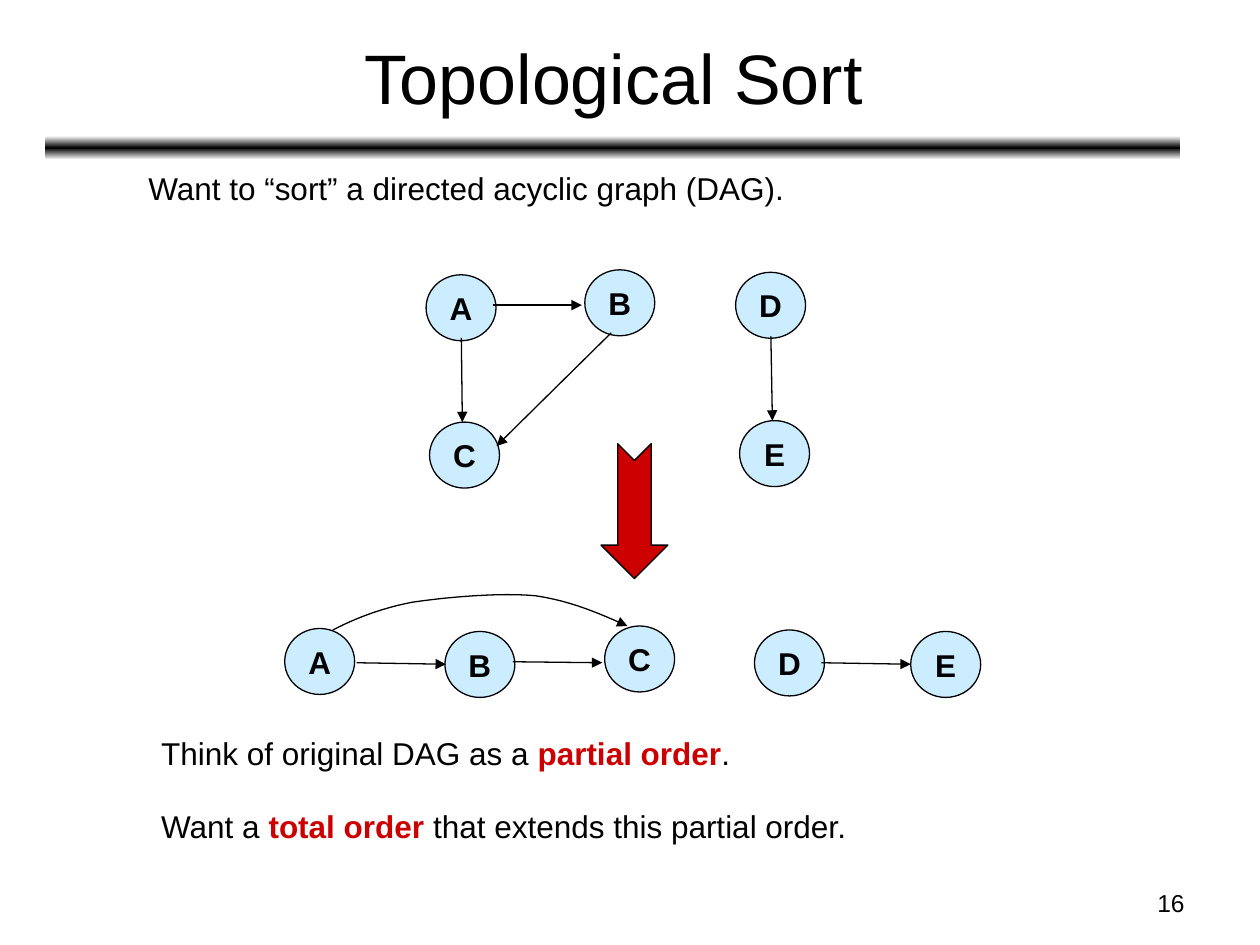
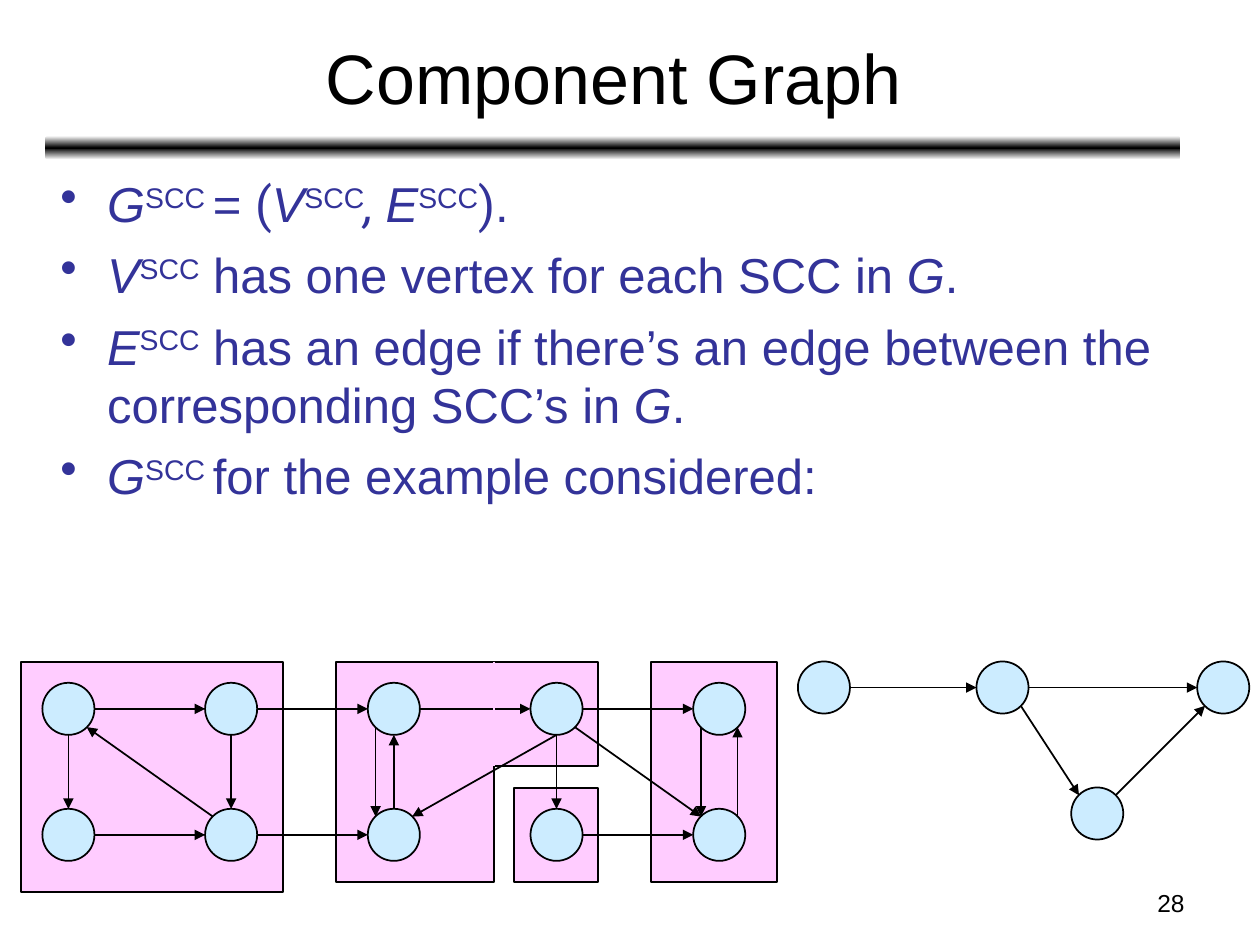
from copy import deepcopy

from lxml.etree import SubElement
from pptx import Presentation
from pptx.dml.color import RGBColor
from pptx.enum.shapes import MSO_CONNECTOR as LINE, MSO_SHAPE as SHAPE
from pptx.enum.text import MSO_ANCHOR as ANCHOR, PP_ALIGN as ALIGN
from pptx.oxml.ns import qn
from pptx.util import Cm, Pt

BLACK, WHITE = "000000", "FFFFFF"
BLUE, PINK, RED, INDIGO = "CCECFF", "FFCCFF", "CC0000", "333399"
ITALIC = {"italic": True}
SUPER = {"sup": True}
KEY = {"color": RED, "bold": True}
SYMBOL = {"font": "Roboto"}

# Compass points on a node, as parts of its radius
PORTS = {"n": (0, -1), "s": (0, 1), "e": (1, 0), "w": (-1, 0),
         "ne": (0.7, -0.7), "nw": (-0.7, -0.7),
         "se": (0.7, 0.7), "sw": (-0.7, 0.7)}


def rgb(color):
    return RGBColor.from_string(color)


def write(p, text, size=18, color=BLACK, font="Arial", bold=False,
          italic=False, sup=False):
    r = p.add_run()
    r.text = text
    f = r.font
    f.size, f.name, f.bold, f.italic = Pt(size), font, bold, italic
    f.color.rgb = rgb(color)
    if sup:
        r._r.get_or_add_rPr().set("baseline", "30000")


def set_bullet(p, color, indent):
    pPr = p._p.get_or_add_pPr()
    pPr.set("marL", str(indent))
    pPr.set("indent", str(-indent))
    SubElement(SubElement(pPr, qn("a:buClr")), qn("a:srgbClr"), val=color)
    SubElement(pPr, qn("a:buChar"), char="•")


def bezier(start, *curves, steps=12):
    """Points along a chain of cubic curves."""
    points = [start]
    for c1, c2, end in curves:
        p0 = points[-1]
        for k in range(1, steps + 1):
            t = k / steps
            u = 1 - t
            points.append(tuple(
                u**3 * a + 3 * u * u * t * b + 3 * u * t * t * c + t**3 * d
                for a, b, c, d in zip(p0, c1, c2, end)))
    return points


class Deck:
    def __init__(self):
        self.prs = Presentation()
        self.prs.slide_width, self.prs.slide_height = Cm(25.4), Cm(19.05)
        self.line_width = 0.75
        self.s = None

    def slide(self, title, number, line_width):
        self.line_width = line_width
        self.s = self.prs.slides.add_slide(self.prs.slide_layouts[6])
        self.band()
        self.text((0.94, 0.28, 22.86, 2.51), [[(title, {})]], size=40,
                  align=ALIGN.CENTER, anchor=ANCHOR.MIDDLE)
        self.text((18.21, 17.78, 5.92, 0.89), [[(number, {})]], size=14,
                  align=ALIGN.RIGHT)

    def band(self):
        sp = self.shape(SHAPE.ROUNDED_RECTANGLE, (0.91, 2.74, 22.89, 0.48))
        sp.line.fill.background()
        sp.fill.gradient()
        sp.fill.gradient_angle = 90
        stops = sp.element.spPr.find(".//" + qn("a:gsLst"))
        stops.insert(1, deepcopy(stops[0]))
        for k, (stop, color) in enumerate(
                zip(sp.fill.gradient_stops, (WHITE, BLACK, WHITE))):
            stop.position = k / 2
            stop.color.rgb = rgb(color)

    def text(self, box, paragraphs, align=ALIGN.LEFT, anchor=ANCHOR.TOP,
             wrap=True, gap=0, bullet=None, **style):
        tf = self.s.shapes.add_textbox(*map(Cm, box)).text_frame
        tf.word_wrap, tf.vertical_anchor = wrap, anchor
        for k, runs in enumerate(paragraphs):
            p = tf.add_paragraph() if k else tf.paragraphs[0]
            if bullet:
                set_bullet(p, bullet, Cm(0.94))
            p.alignment = align
            if k:
                p.space_before = Pt(gap)
            for text, fmt in runs:
                write(p, text, **{**style, **fmt})

    def outline(self, sp, color=BLACK):
        sp.line.color.rgb = rgb(color)
        sp.line.width = Pt(self.line_width)

    def shape(self, kind, box, fill=BLUE):
        sp = self.s.shapes.add_shape(kind, *map(Cm, box))
        sp.shadow.inherit = False
        sp.fill.solid()
        sp.fill.fore_color.rgb = rgb(fill)
        self.outline(sp)
        return sp

    def node(self, x, y, width, height, label=""):
        sp = self.shape(SHAPE.OVAL, (x, y, width, height))
        if label:
            tf = sp.text_frame
            tf.word_wrap, tf.vertical_anchor = False, ANCHOR.MIDDLE
            p = tf.paragraphs[0]
            p.alignment = ALIGN.CENTER
            write(p, label, bold=True)

    def arrowhead(self, sp):
        SubElement(sp.line._get_or_add_ln(), qn("a:tailEnd"), type="triangle")

    def line(self, start, end, color=BLACK, arrow=True):
        sp = self.s.shapes.add_connector(LINE.STRAIGHT,
                                         *map(Cm, (*start, *end)))
        self.outline(sp, color)
        if arrow:
            self.arrowhead(sp)
        SubElement(sp.element.spPr, qn("a:effectLst"))

    def curve(self, points):
        points = [(Cm(x), Cm(y)) for x, y in points]
        builder = self.s.shapes.build_freeform(*points[0])
        builder.add_line_segments(points[1:], close=False)
        sp = builder.convert_to_shape()
        sp.shadow.inherit = False
        sp.fill.background()
        self.outline(sp)
        self.arrowhead(sp)

    def graph(self, centers, edges, radius=0.525):
        """Draw round nodes and edges such as 'a.e b.w'."""
        def port(end):
            name, side = end.split(".")
            return tuple(c + radius * d
                         for c, d in zip(centers[name], PORTS[side]))

        for x, y in centers.values():
            self.node(x - radius, y - radius, 2 * radius, 2 * radius)
        for edge in edges:
            self.line(*map(port, edge.split()))


def topological_sort(deck):
    deck.slide("Topological Sort", "16", line_width=0.75)
    deck.text((2.74, 3.28, 13.34, 1.02),
              [[("Want to “sort” a directed acyclic graph (DAG).", {})]],
              wrap=False)

    # The graph, then its sorted form
    nodes = [("A", 8.59, 5.54), ("B", 11.79, 5.44), ("C", 8.66, 8.51),
             ("D", 14.83, 5.49), ("E", 14.91, 8.48),
             ("A", 5.74, 12.67), ("B", 8.97, 12.73), ("C", 12.19, 12.62),
             ("D", 15.21, 12.7), ("E", 18.36, 12.73)]
    for label, x, y in nodes:
        deck.node(x, y, 1.41, 1.33, label)
    edges = [((9.93, 6.15), (11.73, 6.15)), ((9.3, 6.81), (9.32, 8.51)),
             ((12.32, 6.71), (10.01, 8.99)), ((15.54, 6.78), (15.57, 8.48)),
             ((7.19, 13.36), (8.99, 13.39)), ((10.34, 13.34), (12.14, 13.36)),
             ((16.56, 13.36), (18.36, 13.39))]
    for start, end in edges:
        deck.line(start, end)
    deck.curve(bezier((6.71, 12.7),
                      ((7.16, 12.47), (7.65, 12.27), (8.31, 12.14)),
                      ((8.99, 12.04), (10.08, 11.94), (10.8, 12.01)),
                      ((11.53, 12.12), (12.09, 12.37), (12.65, 12.62))))
    down = deck.shape(SHAPE.NOTCHED_RIGHT_ARROW, (11.43, 9.63, 2.72, 1.35), RED)
    down.rotation = 90

    deck.text((3, 14.68, 14.38, 2.46),
              [[("Think of original DAG as a ", {}), ("partial order", KEY),
                (".", {})],
               [("Want a ", {}), ("total order", KEY),
                (" that extends this partial order.", {})]],
              wrap=False, gap=20)


def component_graph(deck):
    deck.slide("Component Graph", "28", line_width=1)
    scc = ("SCC", SUPER)
    deck.text((0.97, 3.38, 22.86, 14.1), [
        [("G", ITALIC), ("SCC ", SUPER), ("= ", {}), ("(", SYMBOL),
         ("V", ITALIC), scc, (", ", {**SYMBOL, **ITALIC}), ("E", ITALIC),
         scc, (")", SYMBOL), (".", {})],
        [("V", ITALIC), scc, (" has one vertex for each SCC in ", {}),
         ("G", ITALIC), (".", {})],
        [("E", ITALIC), scc,
         (" has an edge if there’s an edge between the corresponding"
          " SCC’s in ", {}), ("G", ITALIC), (".", {})],
        [("G", ITALIC), ("SCC ", SUPER), ("for the example considered:", {})],
    ], size=28, color=INDIGO, bullet=INDIGO, gap=7)

    # Component graph
    deck.graph({"p": (16.61, 13.86), "q": (20.21, 13.86),
                "r": (24.66, 13.86), "t": (22.12, 16.4)},
               ["p.e q.w", "q.e r.w", "q.se t.nw", "t.ne r.sw"])

    # Strongly connected components behind the full graph
    for box in [(10.36, 15.88, 1.69, 1.9), (13.13, 13.34, 2.54, 4.44),
                (9.96, 13.34, 2.1, 2.1), (6.78, 13.34, 3.18, 4.44),
                (0.43, 13.34, 5.28, 4.65)]:
        deck.shape(SHAPE.RECTANGLE, box, PINK)

    # Full graph: a to e in the upper row, f to j in the lower one
    centers = {name: (1.38 + 3.28 * col, y)
               for row, y in (("abcde", 14.29), ("fghij", 16.83))
               for col, name in enumerate(row)}
    across = [f"{a}.e {b}.w" for row in ("abcde", "fgh", "ij")
              for a, b in zip(row, row[1:])]
    deck.graph(centers, across + [
        "a.s f.n", "b.s g.n", "g.nw a.se", "d.s h.ne", "h.n c.s",
        "c.sw h.nw", "d.s i.n", "e.sw j.nw", "j.ne e.se", "d.se j.nw"])
    deck.line((9.96, 13.34), (9.96, 15.44), PINK, arrow=False)


def main():
    deck = Deck()
    topological_sort(deck)
    component_graph(deck)
    deck.prs.save("out.pptx")


if __name__ == "__main__":
    main()
